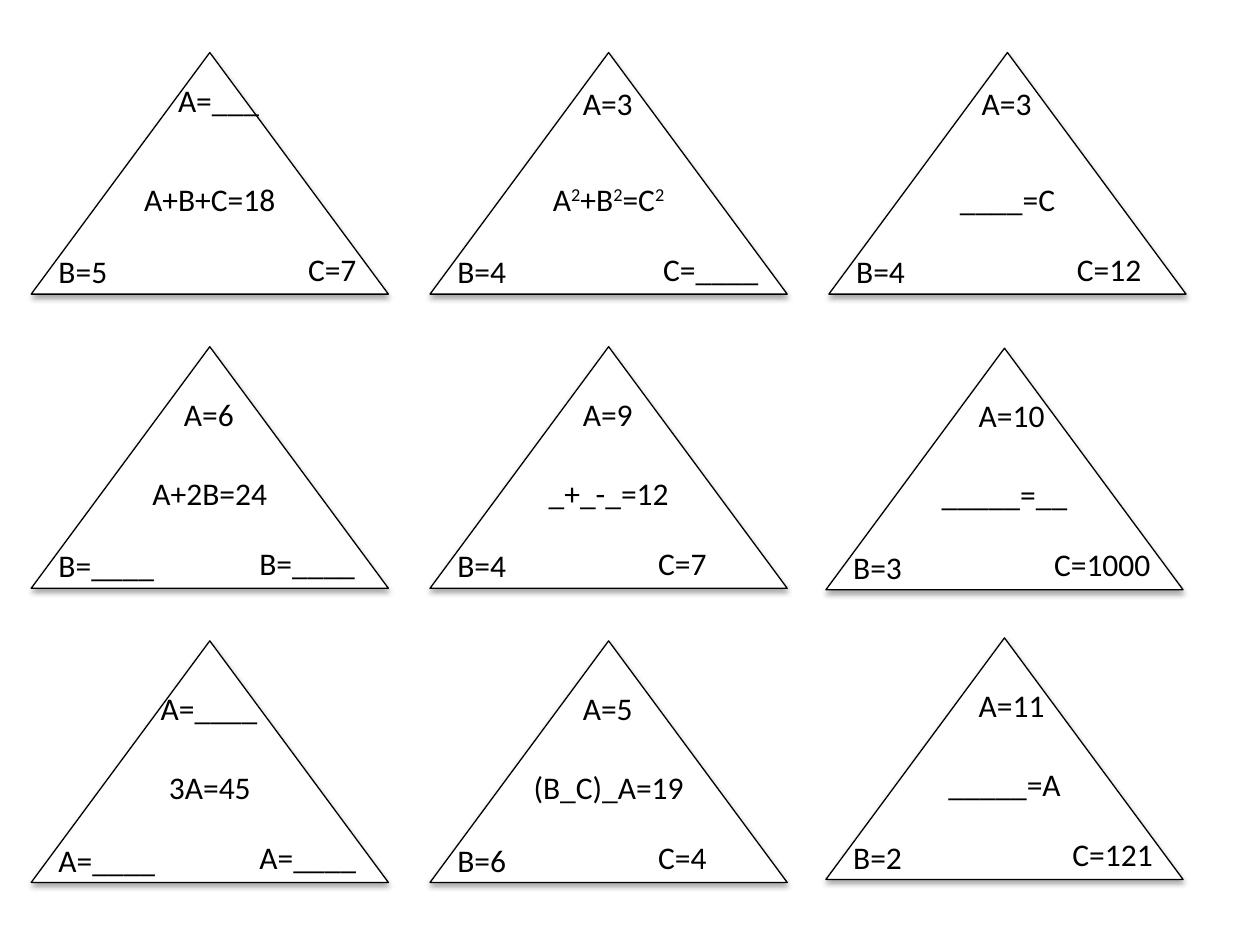
from dataclasses import dataclass
from itertools import groupby

from lxml.etree import SubElement
from pptx import Presentation
from pptx.dml.color import RGBColor
from pptx.enum.shapes import MSO_SHAPE
from pptx.enum.text import MSO_ANCHOR, MSO_AUTO_SIZE, PP_ALIGN
from pptx.oxml.ns import qn
from pptx.util import Cm, Pt

BLACK = RGBColor(0x00, 0x00, 0x00)
WHITE = RGBColor(0xFF, 0xFF, 0xFF)

# Grid of triangles, in cm
GRID_LEFT, GRID_TOP = 0.63, 1.06
COLUMN_STEP, ROW_STEP = 8.04, 5.93
TRIANGLE_WIDTH, TRIANGLE_HEIGHT = 7.2, 4.87


@dataclass
class Puzzle:
    """A formula with three corner values; offsets are in cm from the triangle."""
    formula: str
    apex: str
    left: str
    right: str
    apex_x: float = 2.83
    apex_y: float = 0.84
    right_x: float = 4.35
    shift: tuple = (0, 0)


PUZZLE_ROWS = [
    [
        Puzzle("A+B+C=18", "A=___", "B=5", "C=7", 2.71, 0.45, 5.33),
        Puzzle("A²+B²=C²", "A=3", "B=4", "C=____", apex_y=0.51, right_x=4.45),
        Puzzle("____=C", "A=3", "B=4", "C=12", apex_y=0.51, right_x=4.75),
    ],
    [
        Puzzle("A+2B=24", "A=6", "B=____", "B=____"),
        Puzzle("_+_-_=12", "A=9", "B=4", "C=7"),
        Puzzle("_____=__", "A=10", "B=3", "C=1000", shift=(-0.06, 0.03)),
    ],
    [
        Puzzle("3A=45", "A=____", "A=____", "A=____", apex_x=2.36),
        Puzzle("(B_C)_A=19", "A=5", "B=6", "C=4"),
        Puzzle("_____=A", "A=11", "B=2", "C=121", right_x=4.72, shift=(-0.06, -0.06)),
    ],
]


class Worksheet:
    font_name = "Calibri"
    font_size = Pt(18)

    def __init__(self, slide):
        self.slide = slide

    def style(self, paragraph):
        paragraph.font.name = self.font_name
        paragraph.font.size = self.font_size
        paragraph.font.color.rgb = BLACK

    def shadow(self, shape):
        shape.shadow.inherit = False
        effects = shape._element.spPr.find(qn("a:effectLst"))
        outer = SubElement(effects, qn("a:outerShdw"), blurRad="40000",
                           dist="23000", dir="5400000", rotWithShape="0")
        color = SubElement(outer, qn("a:srgbClr"), val=str(BLACK))
        SubElement(color, qn("a:alpha"), val="35000")

    def formula(self, paragraph, formula):
        """Write each ² as a raised 2."""
        for raised, letters in groupby(formula, lambda letter: letter == "²"):
            run = paragraph.add_run()
            run.text = "".join(letters).replace("²", "2")
            if raised:
                run._r.get_or_add_rPr().set("baseline", "30000")

    def triangle(self, x, y, formula):
        triangle = self.slide.shapes.add_shape(
            MSO_SHAPE.ISOSCELES_TRIANGLE, Cm(x), Cm(y),
            Cm(TRIANGLE_WIDTH), Cm(TRIANGLE_HEIGHT))
        triangle.fill.solid()
        triangle.fill.fore_color.rgb = WHITE
        triangle.line.color.rgb = BLACK
        triangle.line.width = Pt(0.75)
        self.shadow(triangle)
        frame = triangle.text_frame
        frame.vertical_anchor = MSO_ANCHOR.TOP
        paragraph = frame.paragraphs[0]
        paragraph.alignment = PP_ALIGN.CENTER
        self.style(paragraph)
        self.formula(paragraph, formula)

    def label(self, x, y, text):
        width = 0.56 + 0.33 * len(text)
        frame = self.slide.shapes.add_textbox(
            Cm(x), Cm(y), Cm(width), Cm(1.03)).text_frame
        frame.word_wrap = False
        frame.auto_size = MSO_AUTO_SIZE.SHAPE_TO_FIT_TEXT
        frame.text = text
        self.style(frame.paragraphs[0])

    def puzzle(self, x, y, puzzle):
        self.triangle(x, y, puzzle.formula)
        self.label(x + puzzle.apex_x, y + puzzle.apex_y, puzzle.apex)
        self.label(x + 0.3, y + 3.9, puzzle.left)
        self.label(x + puzzle.right_x, y + 3.85, puzzle.right)


def main():
    presentation = Presentation()
    presentation.slide_width, presentation.slide_height = Cm(25.4), Cm(19.05)
    blank_layout = presentation.slide_layouts[6]
    worksheet = Worksheet(presentation.slides.add_slide(blank_layout))

    # Three rows of three puzzles
    for row, puzzles in enumerate(PUZZLE_ROWS):
        for column, puzzle in enumerate(puzzles):
            shift_x, shift_y = puzzle.shift
            worksheet.puzzle(GRID_LEFT + column * COLUMN_STEP + shift_x,
                             GRID_TOP + row * ROW_STEP + shift_y, puzzle)

    presentation.save("out.pptx")


if __name__ == "__main__":
    main()
